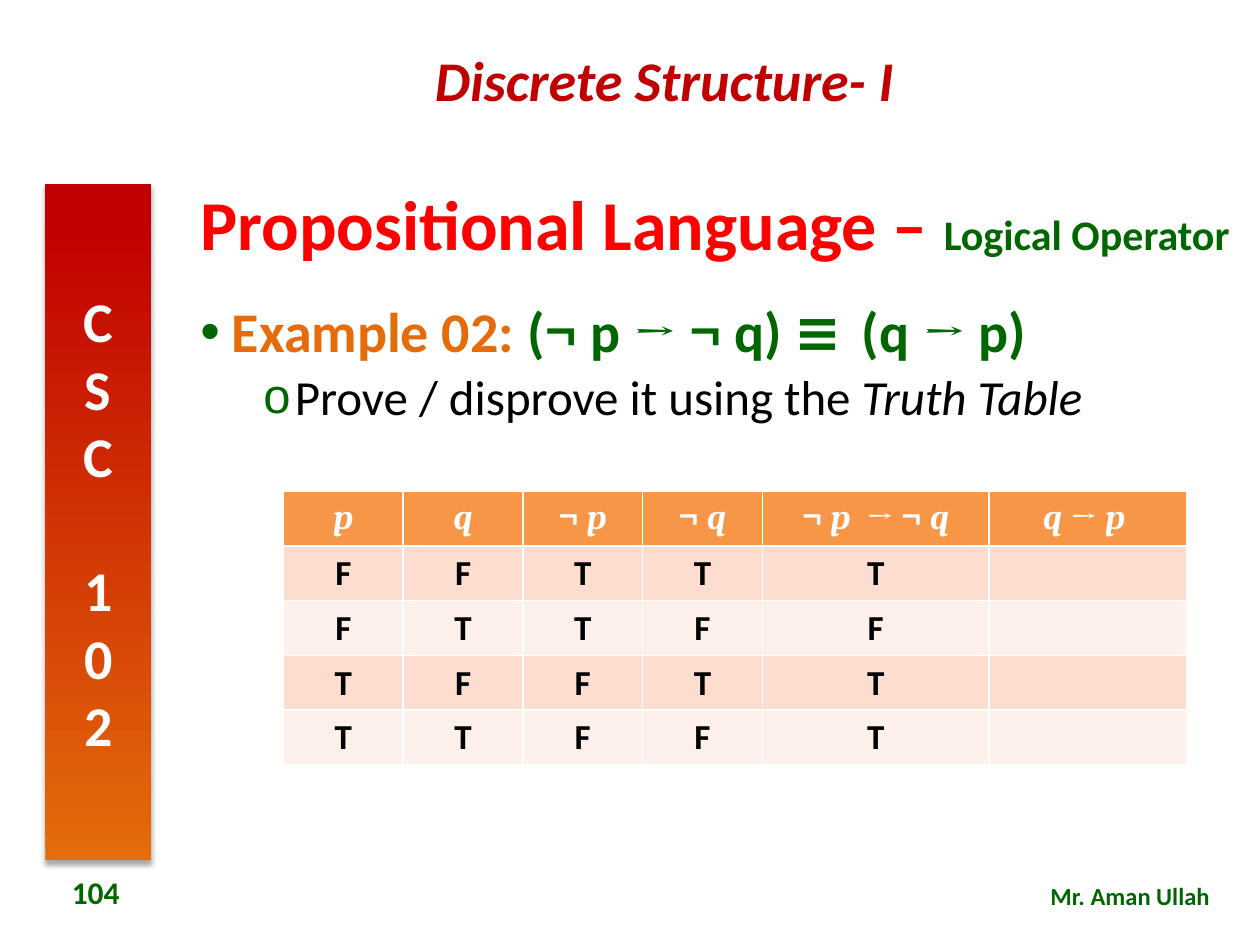
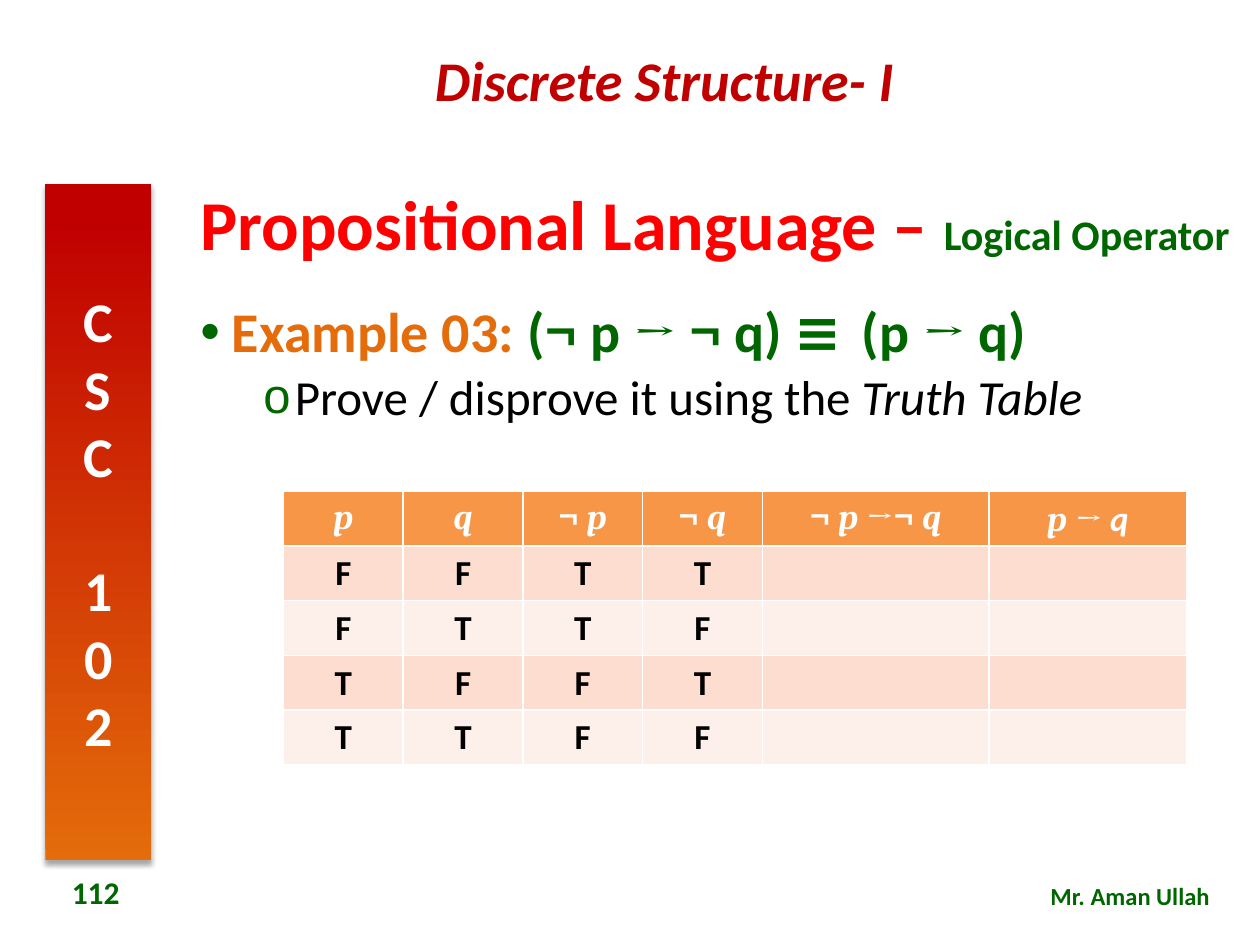
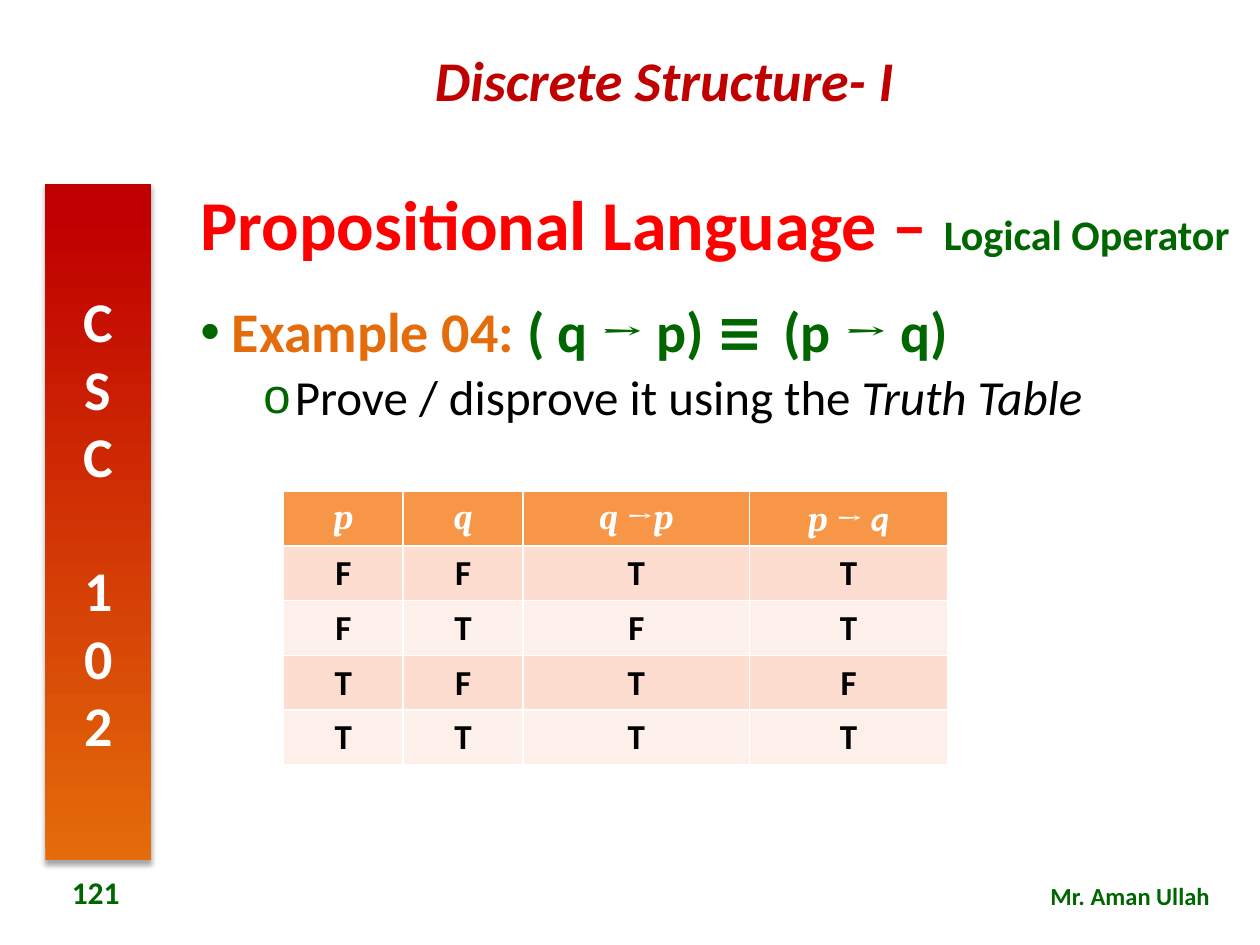
import pptx
import pptx.dml.color
import pptx.enum.shapes
import pptx.enum.text
import pptx.oxml
import pptx.oxml.ns
import pptx.util
from pptx.util import Inches

RGBColor = pptx.dml.color.RGBColor
ALIGN = pptx.enum.text.PP_ALIGN
ANCHOR = pptx.enum.text.MSO_ANCHOR

GREEN = RGBColor(0x00, 0x66, 0x00)
DARK_RED = RGBColor(0xC0, 0x00, 0x00)
RED = RGBColor(0xFF, 0x00, 0x00)
ORANGE = RGBColor(0xE4, 0x6C, 0x0A)
HEADER_ORANGE = RGBColor(0xF7, 0x96, 0x46)
ROW_FILLS = [RGBColor(0xFC, 0xDD, 0xCF), RGBColor(0xFD, 0xEF, 0xE9)]
WHITE = RGBColor(0xFF, 0xFF, 0xFF)
BLACK = RGBColor(0x00, 0x00, 0x00)

BODY_FONT = "Calibri"
MATH_FONT = "Cambria"
EQUIVALENCE_FONT = "Comic Neue"

BAND_SHADOW = (
    f'<a:effectLst {pptx.oxml.ns.nsdecls("a")}>'
    '<a:outerShdw blurRad="39400" dist="22900" dir="5400000" rotWithShape="0">'
    '<a:srgbClr val="000000"><a:alpha val="35000"/></a:srgbClr>'
    "</a:outerShdw></a:effectLst>"
)

# Each formula and column heading is split where its font changes.
EXAMPLES = [
    {
        "page": "104",
        "label": "Example 02: ",
        "formula": ["(", "¬ ", "p ", "→ ¬ ", "q) ", "≡ ", "(q ", "→", " p)"],
        "headings": [["p"], ["q"], ["¬ ", "p"], ["¬ ", "q"],
                     ["¬ ", "p  ", "→ ¬ ", "q"], ["q ", "→ ", "p "]],
        "values": ["FFTTT", "FTTFF", "TFFTT", "TTFFT"],
    },
    {
        "page": "112",
        "label": "Example 03: ",
        "formula": ["(", "¬ ", "p ", "→ ¬ ", "q) ", "≡ ", "(p ", "→", " q)"],
        "headings": [["p"], ["q"], ["¬ ", "p"], ["¬ ", "q"],
                     ["¬ ", "p ", "→¬ ", "q"], ["p ", "→ ", "q"]],
        "values": ["FFTT", "FTTF", "TFFT", "TTFF"],
    },
    {
        "page": "121",
        "label": "Example 04: ",
        "formula": ["( q ", "→ ", "p) ", "≡ ", "(p ", "→", " q)"],
        "headings": [["p"], ["q"], ["q ", "→", "p"], ["p ", "→ ", "q"]],
        "values": ["FFTT", "FTFT", "TFTF", "TTTT"],
    },
]


def add_run(paragraph, text, size, color, font=BODY_FONT, bold=True, italic=False):
    run = paragraph.add_run()
    run.text = text
    run.font.size = pptx.util.Pt(size)
    run.font.name = font
    run.font.bold = bold
    run.font.italic = italic
    run.font.color.rgb = color


def format_bullet(paragraph, character, indent, space_before):
    """Give a list paragraph a green bullet hanging a quarter inch."""
    paragraph.line_spacing = 0.9
    paragraph.space_before = pptx.util.Pt(space_before)
    properties = paragraph._p.get_or_add_pPr()
    properties.set("marL", str(Inches(indent)))
    properties.set("indent", str(Inches(-0.25)))
    namespace = pptx.oxml.ns.nsdecls("a")
    properties.append(pptx.oxml.parse_xml(
        f'<a:buClr {namespace}><a:srgbClr val="{GREEN}"/></a:buClr>'))
    properties.append(pptx.oxml.parse_xml(
        f'<a:buChar {namespace} char="{character}"/>'))


presentation = pptx.Presentation()
presentation.slide_width = Inches(10)
presentation.slide_height = Inches(7.5)

for example in EXAMPLES:
    slide = presentation.slides.add_slide(presentation.slide_layouts[1])

    # Course name, author and page number
    for text, left, top, width, height, size, color, alignment, italic in [
        ("Discrete Structure- I", 2.11, 0.31, 6.33, 0.64, 32, DARK_RED, ALIGN.CENTER, True),
        ("Mr. Aman Ullah", 6.8, 6.94, 2.9, 0.34, 14, GREEN, ALIGN.RIGHT, False),
        (example["page"], 0.24, 6.88, 1.04, 0.4, 18, GREEN, ALIGN.CENTER, False),
    ]:
        label = slide.shapes.add_textbox(
            Inches(left), Inches(top), Inches(width), Inches(height))
        label.text_frame.word_wrap = True
        label.text_frame.vertical_anchor = ANCHOR.MIDDLE
        paragraph = label.text_frame.paragraphs[0]
        paragraph.alignment = alignment
        add_run(paragraph, text, size, color, italic=italic)

    # Course code band
    band = slide.shapes.add_shape(
        pptx.enum.shapes.MSO_SHAPE.RECTANGLE,
        Inches(0.36), Inches(1.46), Inches(0.84), Inches(5.37))
    band.fill.gradient()
    band.fill.gradient_angle = 90
    bottom_stop, top_stop = band.fill.gradient_stops
    bottom_stop.color.rgb = ORANGE
    bottom_stop.position = 0
    top_stop.color.rgb = DARK_RED
    top_stop.position = 0.95
    band.line.fill.background()
    band._element.spPr.append(pptx.oxml.parse_xml(BAND_SHADOW))
    band.text_frame._txBody.bodyPr.set("vert", "wordArtVert")
    paragraph = band.text_frame.paragraphs[0]
    paragraph.alignment = ALIGN.CENTER
    add_run(paragraph, "CSC 102", 32, WHITE)

    # Title
    title = slide.shapes.title
    title.left, title.top = Inches(1.49), Inches(1.36)
    title.width, title.height = Inches(8.39), Inches(0.89)
    title.text_frame.vertical_anchor = ANCHOR.MIDDLE
    paragraph = title.text_frame.paragraphs[0]
    paragraph.alignment = ALIGN.LEFT
    paragraph.line_spacing = 0.9
    add_run(paragraph, "Propositional Language – ", 40, RED)
    add_run(paragraph, "Logical Operator", 24, GREEN)

    # Example and task
    body = slide.placeholders[1]
    body.left, body.top = Inches(1.49), Inches(2.36)
    body.width, body.height = Inches(8.39), Inches(4.4)
    paragraph = body.text_frame.paragraphs[0]
    paragraph.alignment = ALIGN.JUSTIFY
    format_bullet(paragraph, "•", 0.25, 0)
    add_run(paragraph, example["label"], 32, ORANGE)
    for part in example["formula"]:
        if "≡" in part:
            font = EQUIVALENCE_FONT
        elif "¬" in part or "→" in part:
            font = MATH_FONT
        else:
            font = BODY_FONT
        add_run(paragraph, part, 32, GREEN, font)
    paragraph = body.text_frame.add_paragraph()
    paragraph.level = 1
    format_bullet(paragraph, "o", 0.75, 5)
    add_run(paragraph, "Prove / disprove it using the ", 28, BLACK, bold=False)
    add_run(paragraph, "Truth Table", 28, BLACK, bold=False, italic=True)

    # Truth table
    headings = example["headings"]
    widths = [0.95] * (len(headings) - 2) + [1.8, 1.57]
    table = slide.shapes.add_table(
        len(example["values"]) + 1, len(headings),
        Inches(2.25), Inches(3.9), Inches(sum(widths)), Inches(2.17)).table
    for column, (heading, width) in enumerate(zip(headings, widths)):
        table.columns[column].width = Inches(width)
        cell = table.cell(0, column)
        cell.fill.solid()
        cell.fill.fore_color.rgb = HEADER_ORANGE
        paragraph = cell.text_frame.paragraphs[0]
        paragraph.alignment = ALIGN.CENTER
        is_last = column == len(headings) - 1
        for part in heading:
            font = BODY_FONT if is_last and part == "q" else MATH_FONT
            is_variable = "¬" not in part and "→" not in part
            add_run(paragraph, part, 20, WHITE, font, italic=is_variable)
    for row, values in enumerate(example["values"], start=1):
        for column in range(len(headings)):
            cell = table.cell(row, column)
            cell.fill.solid()
            cell.fill.fore_color.rgb = ROW_FILLS[(row - 1) % 2]
            if column < len(values):
                paragraph = cell.text_frame.paragraphs[0]
                paragraph.alignment = ALIGN.CENTER
                add_run(paragraph, values[column], 20, BLACK)

presentation.save("out.pptx")
